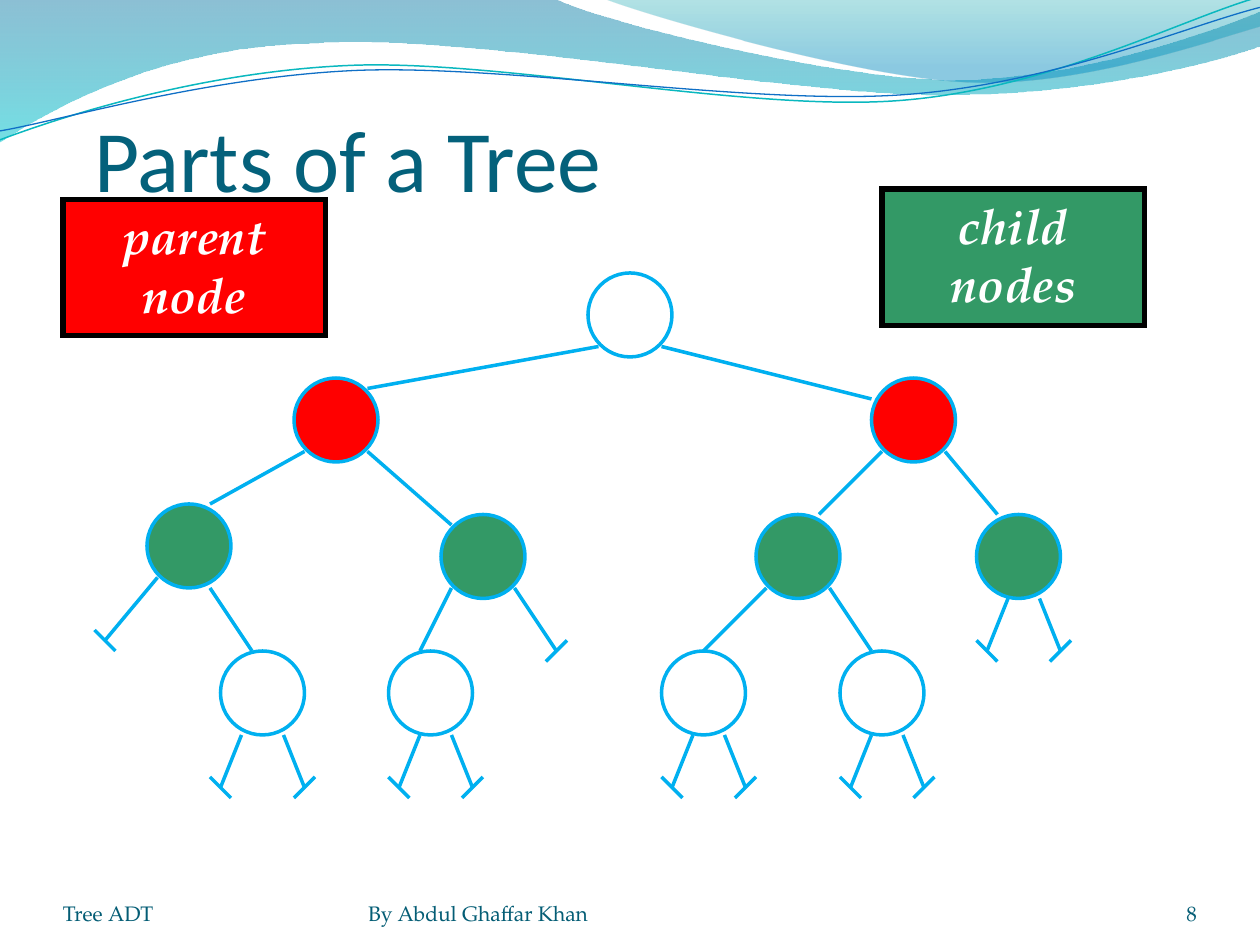
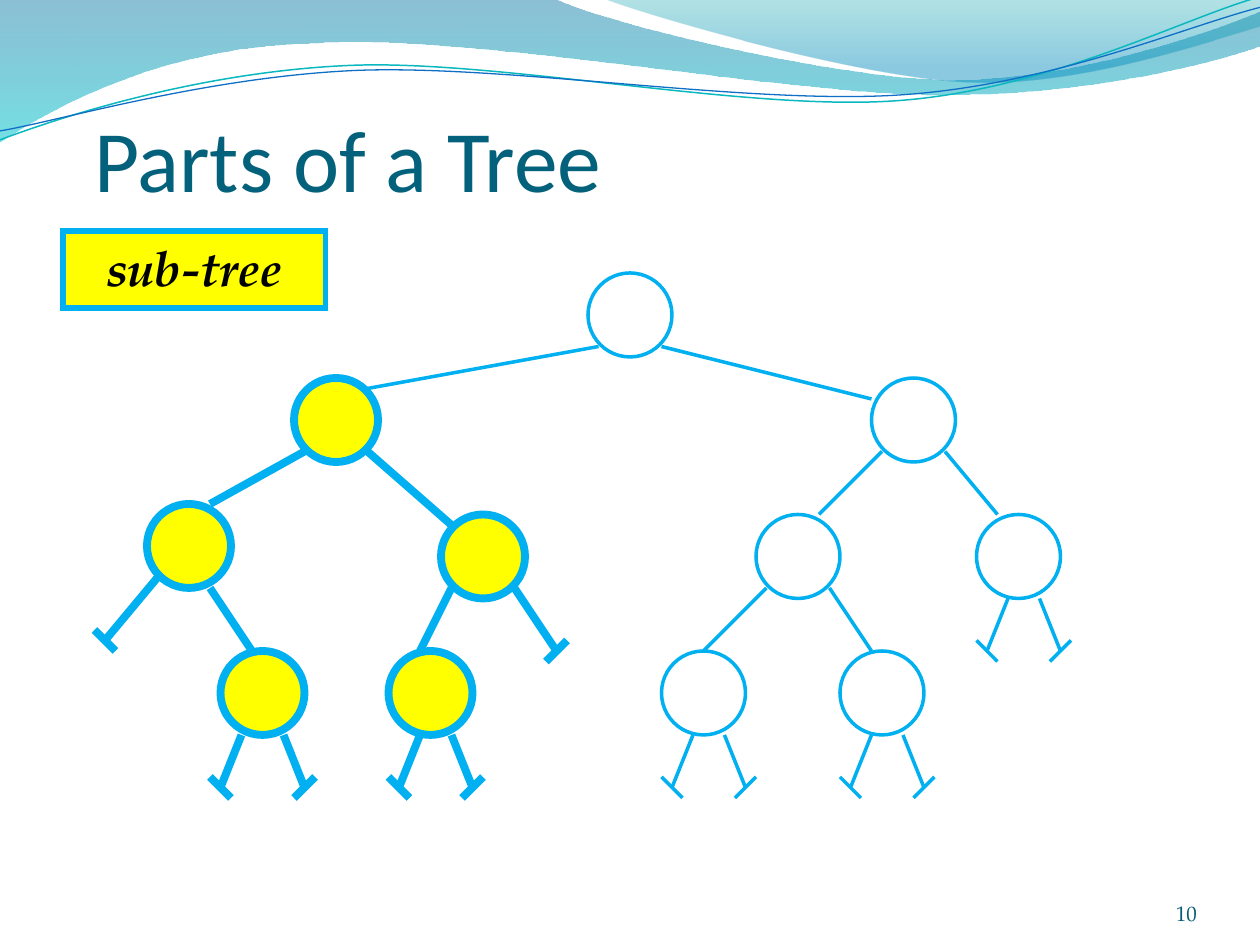
from lxml.etree import SubElement
from pptx import Presentation
from pptx.dml.color import RGBColor
from pptx.enum.shapes import MSO_CONNECTOR as LINK, MSO_SHAPE as SHAPE
from pptx.enum.text import MSO_ANCHOR as ANCHOR, MSO_AUTO_SIZE as FIT, PP_ALIGN as ALIGN
from pptx.oxml.ns import qn
from pptx.util import Cm, Pt

BODY_FONT, TITLE_FONT = "TeX Gyre Pagella", "Calibri"
TITLE_INK, FOOTER_INK, TREE_LINE = "04617B", "045D75", "00B0F0"
RED, GREEN, YELLOW, BLACK, WHITE = "FF0000", "339966", "FFFF00", "000000", "FFFFFF"
THIN, THICK = 2, 4.5

GRID = 2.54 / 12
NODE_SIZE = 8
LEAF_EDGES = ((3, 8, 1, 13), (6, 8, 8, 13))
NODES = {
    "": (47, 0, ((1, 7, -21, 11), (7, 7, 27, 12))),
    "L": (19, 10, ((1, 7, -8, 12), (7, 7, 15, 14))),
    "R": (74, 10, ((1, 7, -5, 13), (7, 7, 12, 13))),
    "LL": (5, 22, ((1, 7, -4, 13), (6, 8, 10, 14))),
    "LR": (33, 23, ((1, 7, -2, 13), (7, 7, 11, 13))),
    "RL": (63, 23, ((1, 7, -5, 13), (7, 7, 11, 13))),
    "RR": (84, 23, LEAF_EDGES),
    "LLR": (12, 36, ((2, 8, 0, 13), (6, 8, 8, 13))),
    "LRL": (28, 36, LEAF_EDGES),
    "RLL": (54, 36, LEAF_EDGES),
    "RLR": (71, 36, LEAF_EDGES),
}

BANDS = [
    ([(0, 0), (11.18, -0.03),
      (12.09, 0.43, 16.87, 1.6, 19.25, 1.6),
      (21.67, 1.6, 24.33, 0.66, 25.4, 0.23),
      (25.43, 0.91),
      (24.97, 1.12, 22.1, 1.93, 18.95, 1.91),
      (15.8, 1.91, 9.7, 0.71, 6.53, 0.86),
      (3.28, 0.91, 1.17, 2.11, -0.03, 2.87)],
     [(0, "0074A1", 45), (1, "00C6CF", 55)]),
    ([(12.17, -0.03),
      (12.93, 0.28, 17.32, 1.57, 19.53, 1.65),
      (21.74, 1.75, 24.41, 0.81, 25.4, 0.53),
      (25.4, 0)],
     [(0, "00A1A9", 30), (0.8, "008BBF", 45)]),
]
WAVES = [
    ([(0, 2.82),
      (1.22, 2.36, 4.01, 1.45, 7.04, 1.32),
      (10.03, 1.19, 15.06, 2.26, 18.11, 2.03),
      (21.16, 1.8, 23.83, 0.38, 25.35, -0.05)], "0AB8BF", 0.85),
    ([(0, 2.64),
      (1.19, 2.44, 4.17, 1.55, 7.19, 1.42),
      (10.24, 1.3, 15.16, 2.13, 18.21, 1.91),
      (21.23, 1.7, 23.9, 0.53, 25.4, 0.15)], "0F6FC6", 0.75),
]


def rgb(color):
    return RGBColor.from_string(color)


def paint(sp, fill=None, line=None, width=1):
    sp.shadow.inherit = False
    if fill:
        sp.fill.solid()
        sp.fill.fore_color.rgb = rgb(fill)
    else:
        sp.fill.background()
    if line:
        sp.line.color.rgb = rgb(line)
        sp.line.width = Pt(width)
    else:
        sp.line.fill.background()


def write(sp, text, font, size, color, align=ALIGN.LEFT, anchor=ANCHOR.BOTTOM, bold=None):
    tf = sp.text_frame
    tf.word_wrap = True
    tf.auto_size = FIT.NONE
    tf.vertical_anchor = anchor
    p = tf.paragraphs[0]
    p.alignment = align
    r = p.add_run()
    r.text = text
    r.font.name = font
    r.font.size = Pt(size)
    r.font.color.rgb = rgb(color)
    r.font.bold = r.font.italic = bold
    return tf


def no_margins(tf):
    tf.margin_left = tf.margin_top = tf.margin_right = tf.margin_bottom = 0


def add_outline(slide, steps, close):
    ends = [(Cm(step[-2]), Cm(step[-1])) for step in steps]
    builder = slide.shapes.build_freeform(*ends[0])
    builder.add_line_segments(ends[1:], close=close)
    sp = builder.convert_to_shape()
    for segment, step in zip(list(sp.element.iter(qn("a:lnTo"))), steps[1:]):
        if len(step) == 6:
            curve = SubElement(segment.getparent(), qn("a:cubicBezTo"))
            segment.getparent().replace(segment, curve)
            for x, y in zip(step[::2], step[1::2]):
                pt = SubElement(curve, qn("a:pt"))
                pt.set("x", str(Cm(x) - sp.left))
                pt.set("y", str(Cm(y) - sp.top))
    return sp


def add_header(slide, layout):
    outlines = []
    for steps, stops in BANDS:
        sp = add_outline(slide, steps, True)
        paint(sp)
        sp.fill.gradient()
        sp.fill.gradient_angle = 270
        for stop, (position, color, _) in zip(sp.fill.gradient_stops, stops):
            stop.position = position
            stop.color.rgb = rgb(color)
        for clr, (_, _, opacity) in zip(sp.element.iter(qn("a:srgbClr")), stops):
            SubElement(clr, qn("a:alpha")).set("val", str(opacity * 1000))
        outlines.append(sp)
    for steps, color, width in WAVES:
        sp = add_outline(slide, steps, False)
        paint(sp, line=color, width=width)
        outlines.append(sp)
    for sp in outlines:
        layout.shapes.element.append(sp.element)


def add_title(slide, text, left, top, width, height):
    sp = slide.shapes.title
    sp.left, sp.top, sp.width, sp.height = Cm(left), Cm(top), Cm(width), Cm(height)
    tf = write(sp, text, TITLE_FONT, 50, TITLE_INK)
    no_margins(tf)
    tf.margin_top = Cm(0.13)


def add_footer(slide, number, left, top, width, height, topic="", author=""):
    columns = [(topic, 0, 5.92, ALIGN.LEFT),
               (author, 6.15, 9.32, ALIGN.LEFT),
               (number, width - 2.12, 2.12, ALIGN.RIGHT)]
    for text, x, w, align in columns:
        if text:
            sp = slide.shapes.add_textbox(Cm(left + x), Cm(top), Cm(w), Cm(height))
            no_margins(write(sp, text, BODY_FONT, 12, FOOTER_INK, align))


def add_label(slide, text, left, top, height, fill, line, ink):
    sp = slide.shapes.add_shape(SHAPE.RECTANGLE, Cm(left), Cm(top), Cm(5.29), Cm(height))
    paint(sp, fill, line, 3)
    SubElement(sp.element.spPr.find(qn("a:ln")), qn("a:miter")).set("lim", "800000")
    write(sp, text, BODY_FONT, 28, ink, ALIGN.CENTER, ANCHOR.TOP, True)


def add_tree(slide, left, top, style):
    def at(x, y):
        return Cm(left + x * GRID), Cm(top + y * GRID)

    def add_line(x1, y1, x2, y2, width):
        line = slide.shapes.add_connector(LINK.STRAIGHT, *at(x1, y1), *at(x2, y2))
        line.line.color.rgb = rgb(TREE_LINE)
        line.line.width = Pt(width)
        SubElement(line.element.spPr, qn("a:effectLst"))

    size = Cm(NODE_SIZE * GRID)
    for name, (x, y, edges) in NODES.items():
        fill, width = style(name)
        sp = slide.shapes.add_shape(SHAPE.OVAL, *at(x, y), size, size)
        paint(sp, fill, TREE_LINE, width)
        for side, slope, (x1, y1, x2, y2) in zip("LR", (1, -1), edges):
            end_x, end_y = x + x2, y + y2
            add_line(x + x1, y + y1, end_x, end_y, width)
            if name + side not in NODES:
                add_line(end_x - 1, end_y - slope, end_x + 1, end_y + slope, width)


def family_style(name):
    return {1: RED, 2: GREEN}.get(len(name)), THIN


def subtree_style(name):
    return (YELLOW, THICK) if name.startswith("L") else (None, THIN)


def add_tree_slide(prs, layout, number, style, labels, **footer):
    slide = prs.slides.add_slide(layout)
    add_title(slide, "Parts of a Tree", 1.9, 1.06, 21.59, 3.18)
    add_tree(slide, 9 * GRID, 26 * GRID, style)
    for label in labels:
        add_label(slide, *label)
    add_footer(slide, number, 1.27, 17.64, 22.86, 1.02, **footer)
    return slide


def main():
    prs = Presentation()
    prs.slide_width, prs.slide_height = Cm(25.4), Cm(19.05)
    layout = prs.slide_layouts[5]
    family = add_tree_slide(
        prs, layout, "8", family_style,
        [("child nodes", 17.78, 3.81, 2.75, GREEN, BLACK, WHITE),
         ("parent node", 1.27, 4.02, 2.75, RED, BLACK, WHITE)],
        topic="Tree ADT", author="By Abdul Ghaffar Khan")
    add_header(family, layout)
    add_tree_slide(prs, layout, "10", subtree_style,
                   [("sub-tree", 1.27, 4.66, 1.55, YELLOW, TREE_LINE, BLACK)])
    prs.save("out.pptx")


if __name__ == "__main__":
    main()
